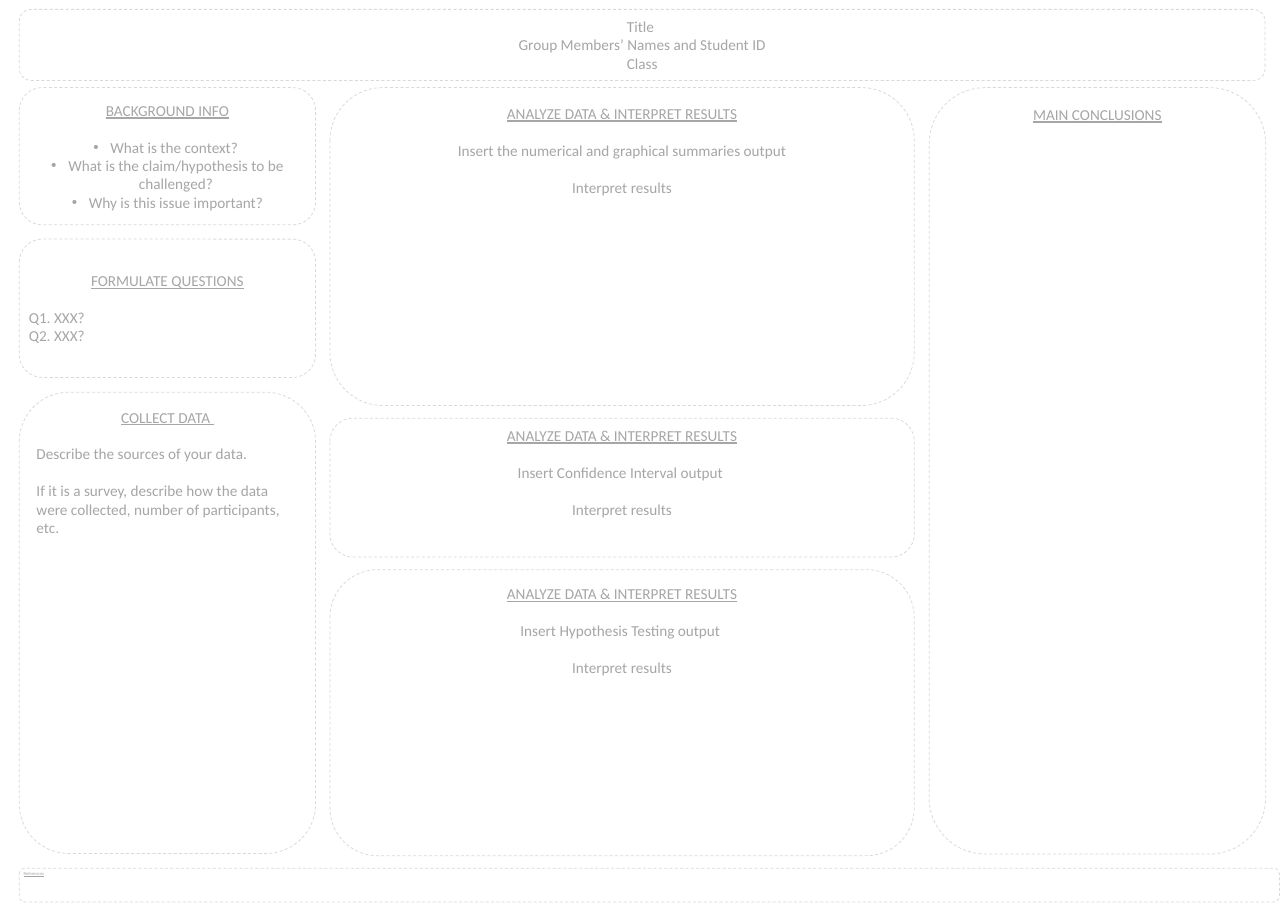
from lxml.etree import SubElement
from pptx import Presentation
from pptx.dml.color import RGBColor
from pptx.enum.dml import MSO_LINE
from pptx.enum.shapes import MSO_SHAPE
from pptx.enum.text import MSO_ANCHOR, MSO_AUTO_SIZE, PP_ALIGN
from pptx.oxml.ns import qn
from pptx.util import Inches, Pt

WHITE = RGBColor(0xFF, 0xFF, 0xFF)
EDGE = RGBColor(0xD9, 0xD9, 0xD9)
GREY = RGBColor(0xA6, 0xA6, 0xA6)
FONT = "Calibri"
SIZE = 19.9
GAP = 24.3
LEFT, MID, RIGHT = (0.35, 5.38), (5.99, 10.61), (16.87, 6.11)
TOP = 1.59
CENTER, START = PP_ALIGN.CENTER, PP_ALIGN.LEFT
RESULTS = "ANALYZE DATA & INTERPRET RESULTS"


def add_panel(slide, col, top, height):
    """Draw one dashed round panel in a column."""
    left, width = col
    panel = slide.shapes.add_shape(
        MSO_SHAPE.ROUNDED_RECTANGLE,
        Inches(left), Inches(top), Inches(width), Inches(height))
    panel.shadow.inherit = False
    panel.fill.solid()
    panel.fill.fore_color.rgb = WHITE
    panel.line.color.rgb = EDGE
    panel.line.width = Pt(1)
    panel.line.dash_style = MSO_LINE.DASH
    return panel


def cover(slide, holder, panel):
    """Lay a placeholder over the text area of a panel."""
    inset = int(min(panel.width, panel.height) * 0.05)
    holder.left, holder.top = panel.left + inset, panel.top + inset
    holder.width = panel.width - 2 * inset
    holder.height = panel.height - 2 * inset
    slide.shapes._spTree.append(holder._element)
    return holder


def set_frame(shape, anchor):
    """Set margins, wrap and anchor, and return the text frame."""
    frame = shape.text_frame
    frame.word_wrap = True
    frame.auto_size = MSO_AUTO_SIZE.NONE
    frame.vertical_anchor = anchor
    frame.margin_left = frame.margin_right = Inches(0.05)
    frame.margin_top = frame.margin_bottom = Inches(0.02)
    return frame


def set_line(para, align, gap=0, size=SIZE, under=False, bullet=False):
    """Format one paragraph and its runs."""
    para.alignment = align
    para.line_spacing = 1.0
    para.space_before, para.space_after = Pt(gap), Pt(0)
    props = para._p.get_or_add_pPr()
    indent = Inches(0.31) if bullet else 0
    props.set("marL", str(indent))
    props.set("indent", str(-indent))
    if bullet:
        SubElement(props, qn("a:buFont"), typeface="Arial")
        SubElement(props, qn("a:buChar"), char="•")
    else:
        SubElement(props, qn("a:buNone"))
    for run in para.runs:
        run.font.name = FONT
        run.font.size = Pt(size)
        run.font.color.rgb = GREY
        run.font.underline = under


def write(shape, head, groups=(), align=CENTER, anchor=MSO_ANCHOR.TOP,
          bullet=False):
    """Write an underlined heading and groups of lines set apart by a gap."""
    frame = set_frame(shape, anchor)
    frame.text = head
    set_line(frame.paragraphs[0], CENTER, under=True)
    for group in groups:
        for index, text in enumerate(group):
            para = frame.add_paragraph()
            para.text = text
            set_line(para, align, 0 if index else GAP, bullet=bullet)


def add_title(slide):
    """Fill the banner with the poster title lines."""
    panel = add_panel(slide, (0.35, 22.62), 0.17, 1.29)
    holder = cover(slide, slide.shapes.title, panel)
    frame = set_frame(holder, MSO_ANCHOR.MIDDLE)
    frame.text = "Title \nGroup Members’ Names and Student ID\nClass"
    for para in frame.paragraphs:
        set_line(para, CENTER)


def add_left(slide):
    """Build the background, question and data panels."""
    panel = add_panel(slide, LEFT, TOP, 2.49)
    write(cover(slide, slide.placeholders[1], panel), "BACKGROUND INFO",
          [["What is the context? ",
            "What is the claim/hypothesis to be challenged?",
            "Why is this issue important?"]],
          anchor=MSO_ANCHOR.MIDDLE, bullet=True)
    write(add_panel(slide, LEFT, 4.34, 2.51), "FORMULATE QUESTIONS",
          [["Q1. XXX?", "Q2. XXX?"]], START, MSO_ANCHOR.MIDDLE)
    write(add_panel(slide, LEFT, 7.12, 8.37), "COLLECT DATA ",
          [["Describe the sources of your data."],
           ["If it is a survey, describe how the data were collected, "
            "number of participants, etc. "]], START)


def add_results(slide):
    """Build the three result panels."""
    for top, height, output in (
            (TOP, 5.77, "Insert the numerical and graphical summaries output"),
            (7.59, 2.52, "Insert Confidence Interval output "),
            (10.34, 5.19, "Insert Hypothesis Testing output ")):
        write(add_panel(slide, MID, top, height), RESULTS,
              [[output], ["Interpret results"]])


def add_refs(slide):
    """Build the reference strip at the foot."""
    panel = add_panel(slide, (0.35, 22.88), 15.76, 0.61)
    frame = set_frame(panel, MSO_ANCHOR.TOP)
    frame.text = "References"
    set_line(frame.paragraphs[0], START, size=6, under=True)


def main():
    """Build the poster and save it."""
    deck = Presentation()
    deck.slide_width, deck.slide_height = Pt(1683.75), Pt(1190.5)
    slide = deck.slides.add_slide(deck.slide_layouts[1])
    add_title(slide)
    add_left(slide)
    add_results(slide)
    write(add_panel(slide, RIGHT, TOP, 13.91), "MAIN CONCLUSIONS")
    add_refs(slide)
    deck.save("out.pptx")


main()
